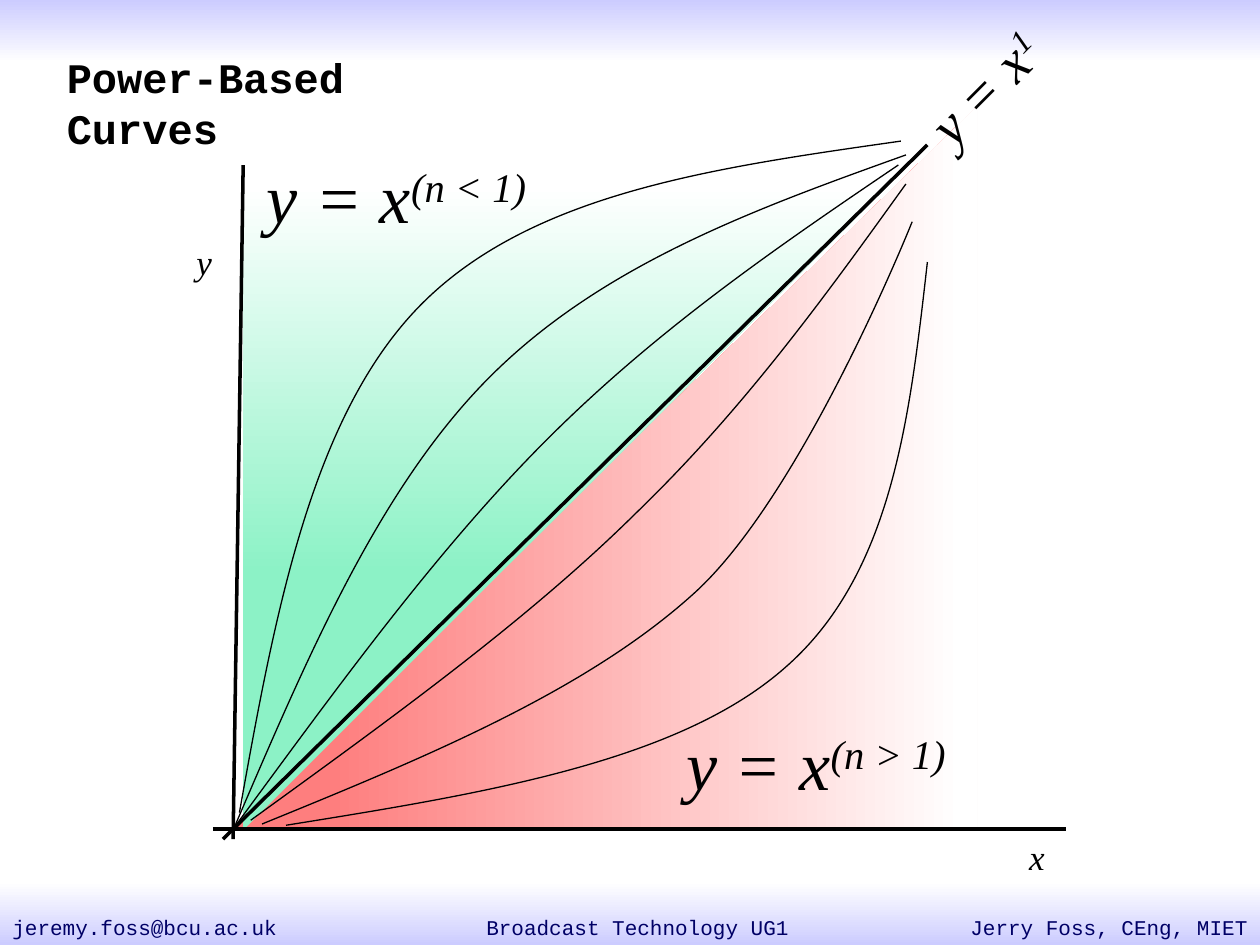
import dataclasses
import itertools
import typing

import lxml.etree
import pptx
import pptx.dml.color
import pptx.enum.shapes
import pptx.enum.text
import pptx.oxml.ns
import pptx.util

Inches = pptx.util.Inches
Align = pptx.enum.text.PP_ALIGN
Point = tuple[float, float]


@dataclasses.dataclass(frozen=True)
class Theme:
    ink: str = "000000"
    footer_ink: str = "000066"
    band: str = "CCCCFF"
    paper: str = "FFFFFF"
    above: str = "8CF2C6"
    below: str = "FE7E7E"
    mono: str = "Courier New"
    serif: str = "Times New Roman"
    footer_size: float = 12
    axis_size: float = 20
    title_size: float = 24
    diagonal_size: float = 32
    formula_size: float = 40
    axis_weight: float = 2
    curve_weight: float = 0.75


THEME = Theme()


class Box(typing.NamedTuple):
    left: float
    top: float
    width: float
    height: float


class Stop(typing.NamedTuple):
    position: float
    color: str


class Region(typing.NamedTuple):
    preset: pptx.enum.shapes.MSO_SHAPE
    box: Box
    stops: tuple[Stop, Stop]
    angle: float
    flipped: bool = False


class Label(typing.NamedTuple):
    text: str
    box: Box
    size: float
    exponent: str = ""
    rotation: float = 0


class Footer(typing.NamedTuple):
    text: str
    box: Box
    align: Align


RECTANGLE = pptx.enum.shapes.MSO_SHAPE.RECTANGLE
TRIANGLE = pptx.enum.shapes.MSO_SHAPE.ISOSCELES_TRIANGLE

REGIONS = (
    Region(RECTANGLE, Box(0, 0, 10, 0.5), (Stop(0, THEME.band), Stop(1, THEME.paper)), 270),
    Region(RECTANGLE, Box(0, 7, 10, 0.5), (Stop(0, THEME.paper), Stop(1, THEME.band)), 270),
    Region(TRIANGLE, Box(1.85, 0.84, 5.91, 5.75), (Stop(0.13, THEME.below), Stop(0.98, THEME.paper)), 0),
    Region(TRIANGLE, Box(1.93, 1.47, 5.12, 5.12), (Stop(0.4, THEME.above), Stop(1, THEME.paper)), 270, True),
)

FOOTERS = (
    Footer("jeremy.foss@bcu.ac.uk", Box(0, 7.21, 3.17, 0.29), Align.LEFT),
    Footer("Broadcast Technology UG1", Box(2.66, 7.21, 4.8, 0.29), Align.CENTER),
    Footer("Jerry Foss, CEng, MIET", Box(6.83, 7.21, 3.17, 0.29), Align.RIGHT),
)

AXES = (
    ((1.93, 1.31), (1.85, 6.66)),
    ((1.69, 6.58), (8.46, 6.58)),
    ((7.36, 1.15), (1.77, 6.66)),
)

CURVES = (
    ((1.85, 6.59), (2.43, 5.24), (3, 3.88), (3.89, 2.99), (4.78, 2.1), (5.99, 1.66), (7.19, 1.23)),
    ((1.85, 6.58), (2.66, 5.48), (3.46, 4.37), (4.34, 3.49), (5.22, 2.61), (6.17, 1.96), (7.13, 1.31)),
    ((1.9, 6.45), (2.18, 4.88), (2.47, 3.3), (3.34, 2.42), (4.22, 1.53), (5.68, 1.33), (7.15, 1.12)),
    ((1.99, 6.51), (3.08, 5.72), (4.18, 4.93), (5.04, 4.08), (5.91, 3.24), (6.55, 2.35), (7.19, 1.46)),
    ((2.08, 6.54), (3.38, 6.01), (4.67, 5.48), (5.53, 4.69), (6.39, 3.89), (7.24, 1.76), (7.24, 1.76)),
    ((2.27, 6.55), (3.83, 6.3), (5.38, 6.05), (6.23, 5.3), (7.08, 4.56), (7.22, 3.32), (7.36, 2.08)),
)

LABELS = (
    Label("y", Box(1.46, 1.86, 0.31, 0.44), THEME.axis_size),
    Label("x", Box(8.07, 6.58, 0.31, 0.44), THEME.axis_size),
    Label("y = x", Box(7.18, 0.35, 1.31, 0.64), THEME.diagonal_size, "1", 314.9),
    Label("y = x", Box(5.35, 5.67, 2.94, 0.77), THEME.formula_size, "(n > 1)"),
    Label("y = x", Box(2.02, 1.17, 2.64, 0.77), THEME.formula_size, "(n < 1)"),
)


def rgb(color: str) -> pptx.dml.color.RGBColor:
    """Turn a hex string into a colour."""
    return pptx.dml.color.RGBColor.from_string(color)


def lengths(values: typing.Iterable[float]) -> list[int]:
    """Convert numbers of inches to slide lengths."""
    return [Inches(value) for value in values]


def write(frame, text: str, *, size: float, font: str, color: str = THEME.ink, bold: bool = False,
          italic: bool = False, align: Align = Align.LEFT, exponent: str = "") -> None:
    """Write formatted text, with an optional exponent, into a text frame."""
    frame.word_wrap = True
    frame.vertical_anchor = pptx.enum.text.MSO_ANCHOR.TOP
    paragraph = frame.paragraphs[0]
    paragraph.alignment = align
    for part, baseline in ((text, None), (exponent, "30000")):
        if not part:
            continue
        run = paragraph.add_run()
        run.text = part
        run.font.size = pptx.util.Pt(size)
        run.font.name = font
        run.font.color.rgb = rgb(color)
        run.font.bold = bold
        run.font.italic = italic
        if baseline:
            run.font._element.set("baseline", baseline)


def draw_region(shapes, region: Region) -> None:
    """Draw a gradient band or triangle."""
    shape = shapes.add_shape(region.preset, *lengths(region.box))
    shape.shadow.inherit = False
    shape.line.fill.background()
    shape.fill.gradient()
    shape.fill.gradient_angle = region.angle
    for target, stop in zip(shape.fill.gradient_stops, region.stops):
        target.position = stop.position
        target.color.rgb = rgb(stop.color)
    if region.preset == TRIANGLE:
        shape.adjustments[0] = 1
    if region.flipped:
        for flip in ("flipH", "flipV"):
            shape._element.spPr.xfrm.set(flip, "1")


def draw_axis(shapes, start: Point, end: Point) -> None:
    """Draw a heavy straight line."""
    axis = shapes.add_connector(pptx.enum.shapes.MSO_CONNECTOR.STRAIGHT, *lengths((*start, *end)))
    axis.line.color.rgb = rgb(THEME.ink)
    axis.line.width = pptx.util.Pt(THEME.axis_weight)
    lxml.etree.SubElement(axis._element.spPr, pptx.oxml.ns.qn("a:effectLst"))


def draw_curve(shapes, points: tuple[Point, ...]) -> None:
    """Draw a chain of cubic segments through its control points."""
    start, *controls = [lengths(point) for point in points]
    builder = shapes.build_freeform(*start)
    builder.add_line_segments(controls, close=False)
    curve = builder.convert_to_shape()
    curve.shadow.inherit = False
    curve.fill.background()
    curve.line.color.rgb = rgb(THEME.ink)
    curve.line.width = pptx.util.Pt(THEME.curve_weight)
    outline = next(curve._element.iter(pptx.oxml.ns.qn("a:path")))
    segments = iter(outline.findall(pptx.oxml.ns.qn("a:lnTo")))
    while triple := list(itertools.islice(segments, 3)):
        cubic = lxml.etree.SubElement(outline, pptx.oxml.ns.qn("a:cubicBezTo"))
        for segment in triple:
            cubic.append(segment[0])
            outline.remove(segment)


def draw_label(shapes, label: Label) -> None:
    """Draw an italic formula or axis name."""
    box = shapes.add_textbox(*lengths(label.box))
    box.rotation = label.rotation
    write(box.text_frame, label.text, size=label.size, font=THEME.serif, italic=True, exponent=label.exponent)


def draw_footer(shapes, footer: Footer) -> None:
    """Draw one part of the footer."""
    box = shapes.add_textbox(*lengths(footer.box))
    write(box.text_frame, footer.text, size=THEME.footer_size, font=THEME.mono,
          color=THEME.footer_ink, align=footer.align)


def draw_title(title) -> None:
    """Place and write the title."""
    title.left, title.top, title.width, title.height = lengths(Box(0.43, 0.36, 3.55, 0.5))
    title.text_frame.auto_size = pptx.enum.text.MSO_AUTO_SIZE.NONE
    write(title.text_frame, "Power-Based Curves", size=THEME.title_size, font=THEME.mono, bold=True)


def main() -> None:
    """Build the slide and save it."""
    deck = pptx.Presentation()
    deck.slide_width, deck.slide_height = lengths((10, 7.5))
    shapes = deck.slides.add_slide(deck.slide_layouts[5]).shapes
    draw_title(shapes.title)
    for region in REGIONS:
        draw_region(shapes, region)
    for footer in FOOTERS:
        draw_footer(shapes, footer)
    for start, end in AXES:
        draw_axis(shapes, start, end)
    for points in CURVES:
        draw_curve(shapes, points)
    for label in LABELS:
        draw_label(shapes, label)
    deck.save("out.pptx")


if __name__ == "__main__":
    main()
